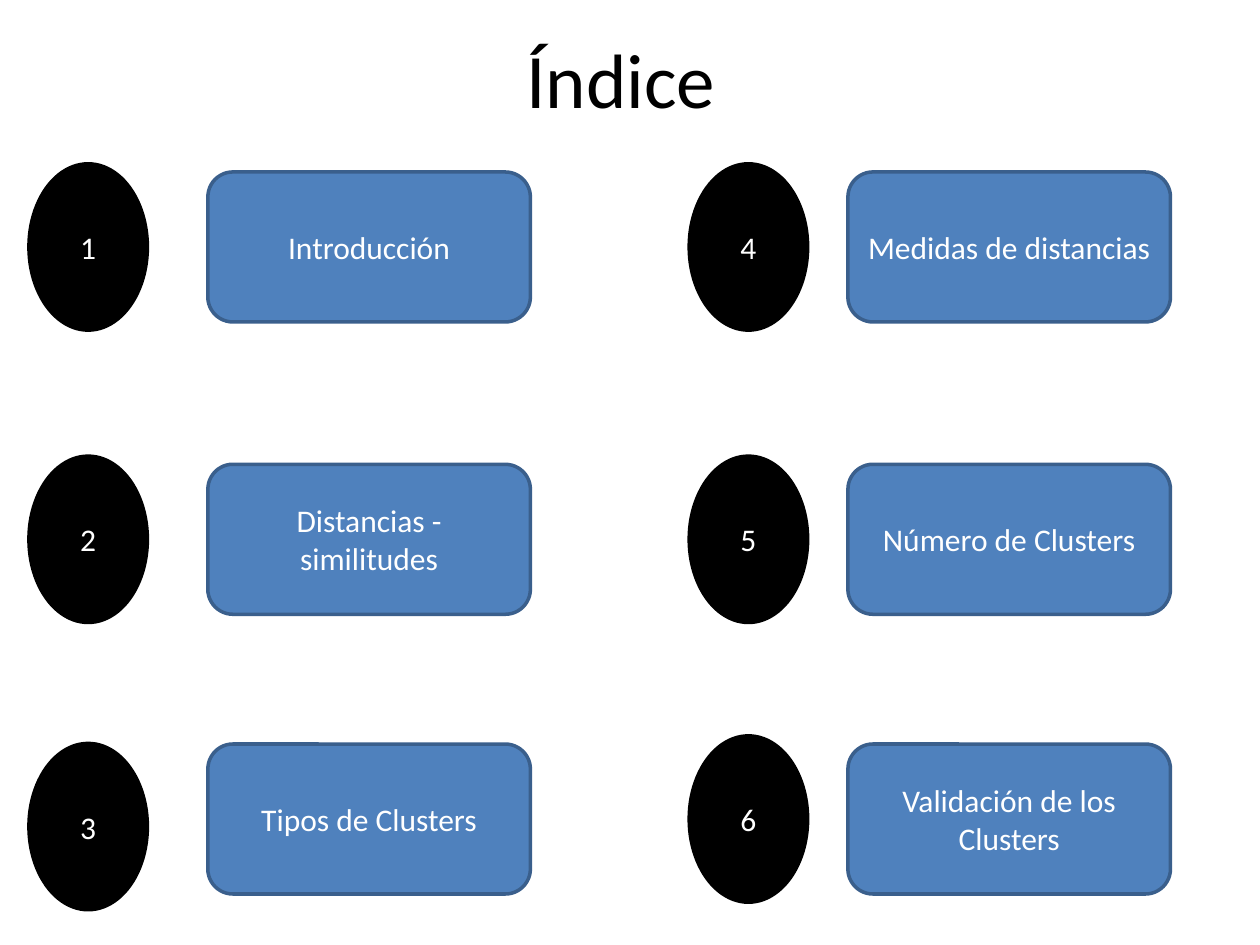
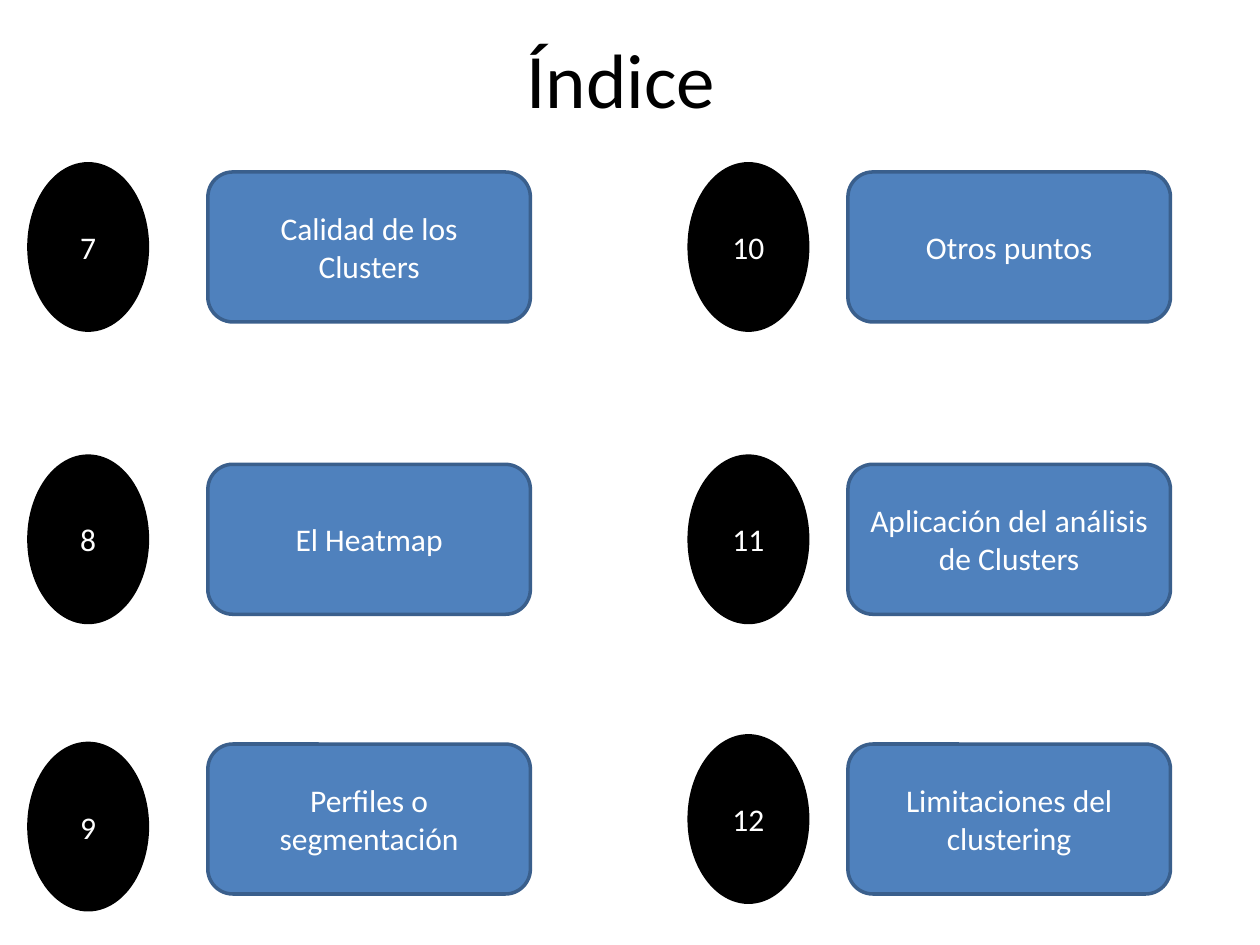
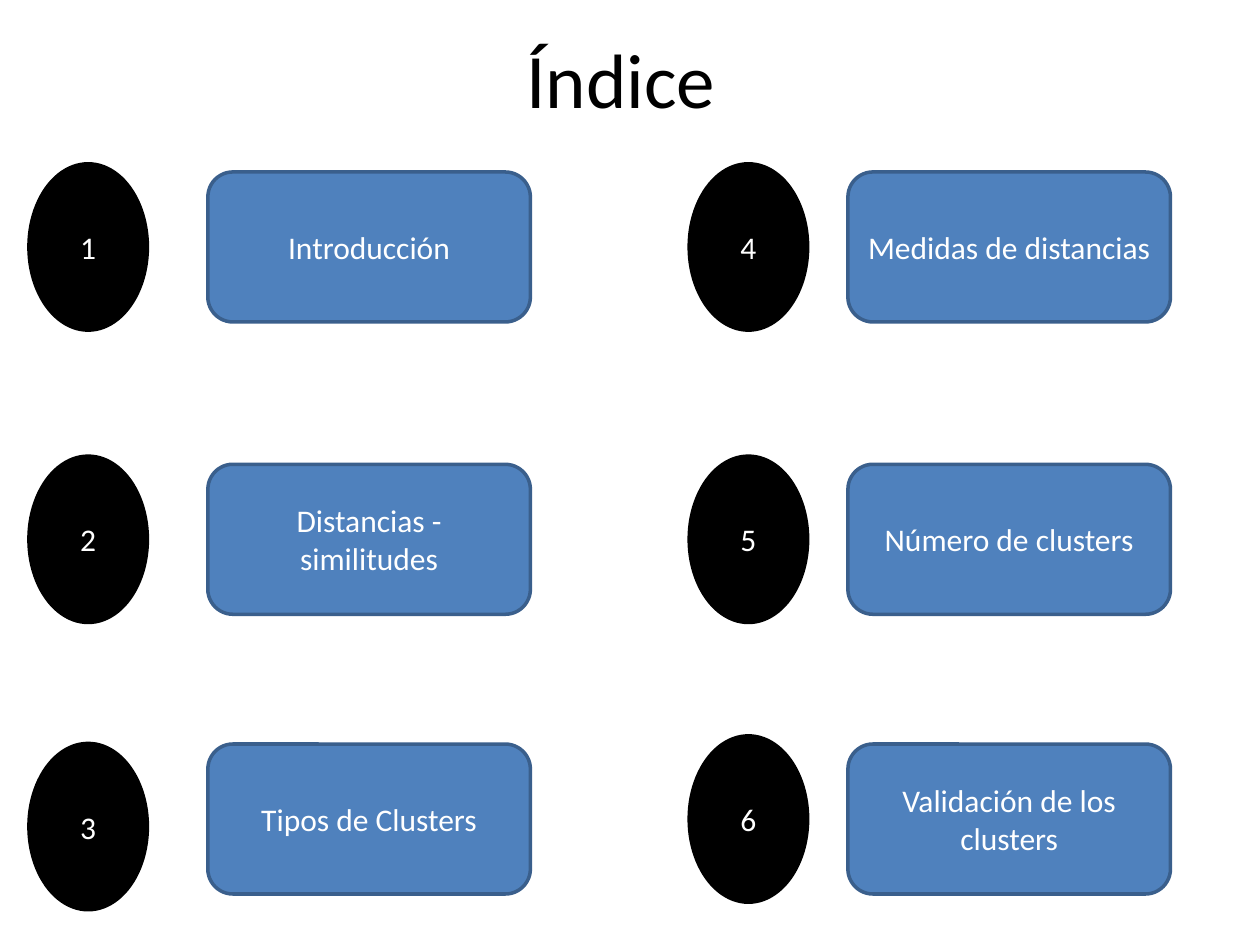
from collections import namedtuple

from pptx import Presentation
from pptx.dml.color import RGBColor
from pptx.enum.shapes import MSO_SHAPE
from pptx.enum.text import MSO_ANCHOR, PP_ALIGN
from pptx.util import Inches, Pt

OVAL = MSO_SHAPE.OVAL
ROUNDED = MSO_SHAPE.ROUNDED_RECTANGLE
MIDDLE = MSO_ANCHOR.MIDDLE
CENTER = PP_ALIGN.CENTER

Box = namedtuple("Box", "left top width height")

SLIDE_WIDTH, SLIDE_HEIGHT = Inches(10), Inches(7.5)
COLUMN, ROW = SLIDE_WIDTH / 100, SLIDE_HEIGHT / 75
TITLE_ONLY = 5
FONT = "Calibri"
BLACK, WHITE = "000000", "FFFFFF"
BLUE, DARK_BLUE = "4F81BD", "3A5F8C"

TITLE_BOX = Box(7, 1.3, 84.6, 9.7)
ENTRY_COLUMNS = [(2.3, 39.8), (54.7, 38.2)]
ENTRY_ROWS = [13, 36.2, 58.4]
ENTRY_HEIGHT = 13.2
BADGE_WIDTH = 9.4
LABEL_WIDTH, LABEL_HEIGHT = 25.6, 11.9
LOW_BADGE_ENTRY, LOW_BADGE_DROP = 2, 0.6

INDEX_PAGES = [
    (1, ["Introducción", "Distancias - similitudes", "Tipos de Clusters",
         "Medidas de distancias", "Número de Clusters", "Validación de los Clusters"]),
    (7, ["Calidad de los Clusters", "El Heatmap", "Perfiles o segmentación",
         "Otros puntos", "Aplicación del análisis de Clusters", "Limitaciones del clustering"]),
    (1, ["Introducción", "Distancias - similitudes", "Tipos de Clusters",
         "Medidas de distancias", "Número de clusters", "Validación de los clusters"]),
]


def color(value):
    return RGBColor.from_string(value)


def to_slide(box):
    return (round(box.left * COLUMN), round(box.top * ROW),
            round(box.width * COLUMN), round(box.height * ROW))


def write(shape, text, size, ink):
    frame = shape.text_frame
    frame.text = text
    frame.word_wrap = True
    frame.vertical_anchor = MIDDLE
    para = frame.paragraphs[0]
    para.alignment = CENTER
    span = para.runs[0]
    span.font.name = FONT
    span.font.size = Pt(size)
    span.font.color.rgb = color(ink)


def add_title(page, text, box):
    title = page.shapes.title
    title.left, title.top, title.width, title.height = to_slide(box)
    write(title, text, 44, BLACK)


def add_panel(page, kind, box, text, fill, line):
    panel = page.shapes.add_shape(kind, *to_slide(box))
    panel.shadow.inherit = False
    panel.fill.solid()
    panel.fill.fore_color.rgb = color(fill)
    panel.line.color.rgb = color(line)
    panel.line.width = Pt(2)
    write(panel, text, 18, WHITE)


def add_entry(page, box, number, text, badge_drop):
    badge = Box(box.left, box.top + badge_drop, BADGE_WIDTH, box.height)
    label = Box(box.left + box.width - LABEL_WIDTH,
                box.top + (box.height - LABEL_HEIGHT) / 2,
                LABEL_WIDTH, LABEL_HEIGHT)
    add_panel(page, OVAL, badge, str(number), BLACK, BLACK)
    add_panel(page, ROUNDED, label, text, BLUE, DARK_BLUE)


def add_index_page(deck, first_number, topics):
    page = deck.slides.add_slide(deck.slide_layouts[TITLE_ONLY])
    add_title(page, "Índice", TITLE_BOX)
    for position, topic in enumerate(topics):
        column, row = divmod(position, len(ENTRY_ROWS))
        left, width = ENTRY_COLUMNS[column]
        box = Box(left, ENTRY_ROWS[row], width, ENTRY_HEIGHT)
        drop = LOW_BADGE_DROP if position == LOW_BADGE_ENTRY else 0
        add_entry(page, box, first_number + position, topic, drop)


def main():
    deck = Presentation()
    deck.slide_width, deck.slide_height = SLIDE_WIDTH, SLIDE_HEIGHT
    for first_number, topics in INDEX_PAGES:
        add_index_page(deck, first_number, topics)
    deck.save("out.pptx")


if __name__ == "__main__":
    main()
